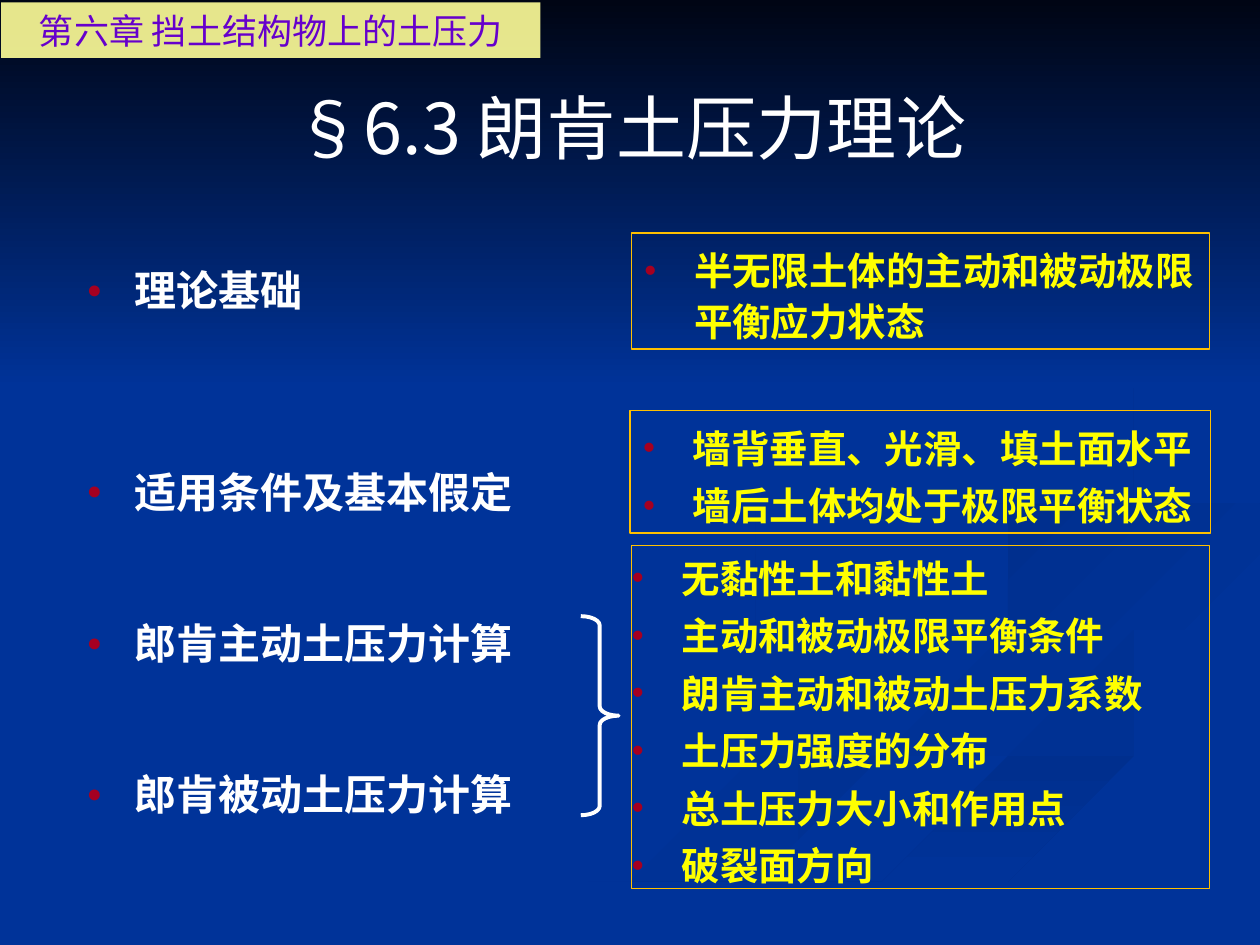
from pptx import Presentation
from pptx.dml.color import RGBColor
from pptx.enum.shapes import MSO_SHAPE
from pptx.enum.text import MSO_ANCHOR, MSO_AUTO_SIZE, PP_ALIGN
from pptx.oxml.ns import qn
from pptx.util import Inches, Pt
from lxml import etree

RECT, BRACE = MSO_SHAPE.RECTANGLE, MSO_SHAPE.RIGHT_BRACE
TOP, MID = MSO_ANCHOR.TOP, MSO_ANCHOR.MIDDLE
LEFT, CENTER = PP_ALIGN.LEFT, PP_ALIGN.CENTER
FIXED = MSO_AUTO_SIZE.NONE

THEME = {
    "back": "003399", "night": "000514", "shade": "002F8E", "haze": "003193",
    "white": "FFFFFF", "yellow": "FFFF00", "gold": "FFC000",
    "red": "A50021", "cream": "FFFF99", "violet": "6600CC",
    "serif": "Times New Roman", "sans": "Noto Sans CJK SC", "label": "Noto Sans CJK JP",
    "title": 40, "topic": 24, "detail": 22, "chapter": 20, "line": 28.8,
}

CHAPTER = "第六章 挡土结构物上的土压力"
TITLE = ("§6.3 ", "朗肯土压力理论")
TOPICS = [
    ("理论基础", 0),
    ("适用条件及基本假定", 3),
    ("郎肯主动土压力计算", 2),
    ("郎肯被动土压力计算", 2),
]
PANELS = [
    ((5.01, 1.85, 4.59, 0.92), (0.1, 0.08), "serif",
     ["半无限土体的主动和被动极限平衡应力状态"]),
    ((5.01, 4.33, 4.59, 2.72), (0, 0.04), "sans",
     ["无黏性土和黏性土", "主动和被动极限平衡条件", "朗肯主动和被动土压力系数",
      "土压力强度的分布", "总土压力大小和作用点", "破裂面方向"]),
    ((5, 3.26, 4.61, 0.97), (0.1, 0.08), "serif",
     ["墙背垂直、光滑、填土面水平", "墙后土体均处于极限平衡状态"]),
]
SWIRLS = [
    ("back", "haze", 0, [
        (7.81, 5.53), (7.45, 5.38), (6.82, 5.19), (6.26, 5.02), (5.94, 4.85),
        (5.76, 4.69), (5.75, 4.59), (5.7, 4.7), (5.81, 4.84), (6.11, 4.99),
        (6.79, 5.19), (7.41, 5.39), (7.76, 5.53), (7.86, 5.66), (7.74, 5.83),
        (7.39, 5.98), (6.84, 6.13), (5.79, 6.39), (4.99, 6.61), (4.17, 6.9),
        (3.38, 7.27), (3, 7.49), (3.61, 7.49), (4.31, 7.14), (4.99, 6.87),
        (5.94, 6.56), (6.76, 6.34), (7.4, 6.18), (7.8, 6.05), (7.97, 5.88),
        (8, 5.81), (7.95, 5.67)]),
    ("back", "haze", 45, [
        (9.43, 5.7), (9.3, 5.53), (9.05, 5.4), (8.5, 5.24), (7.92, 5.09),
        (7.58, 4.98), (7.33, 4.83), (7.24, 4.64), (7.27, 4.79), (7.46, 5),
        (7.81, 5.18), (8.38, 5.36), (8.8, 5.49), (9.07, 5.62), (9.18, 5.81),
        (9.11, 5.93), (8.94, 6.05), (9.25, 5.93), (9.41, 5.81)]),
    ("shade", "back", 90, [
        (5.19, 7.47), (5.03, 7.49), (5.71, 7.49), (6, 7.33), (6.49, 7.1),
        (7.22, 6.82), (8.21, 6.51), (9.03, 6.3), (9.98, 6.09), (9.98, 5.81),
        (9.63, 5.94), (9.03, 6.1), (7.97, 6.38), (6.96, 6.69), (6.3, 6.93),
        (5.69, 7.19)]),
    ("shade", "back", 45, [
        (7.81, 4.6), (7.86, 4.74), (8.06, 4.87), (8.26, 4.96), (8.09, 4.84),
        (8.05, 4.72), (8.16, 4.59), (8.43, 4.48), (8.96, 4.35), (9.54, 4.26),
        (9.98, 4.2), (9.98, 4.02), (9.67, 4.09), (8.98, 4.18), (8.35, 4.3),
        (7.99, 4.42)]),
    ("shade", "back", 45, [
        (6.83, 4.3), (7.64, 4.17), (8.25, 4.02), (8.67, 3.84), (8.89, 3.62),
        (8.93, 3.35), (8.8, 3.07), (8.54, 2.83), (8.1, 2.56), (7.62, 2.33),
        (8.05, 2.54), (8.46, 2.79), (8.76, 3.06), (8.89, 3.35), (8.76, 3.6),
        (8.42, 3.78), (7.91, 3.92), (7.04, 4.09), (6.25, 4.26), (5.89, 4.41),
        (5.77, 4.62), (5.9, 4.84), (6.22, 5), (6.01, 4.85), (5.93, 4.7),
        (6.01, 4.56), (6.24, 4.44)]),
]


def tint(name):
    return RGBColor.from_string(THEME[name])


def place(shape, box):
    shape.left, shape.top, shape.width, shape.height = map(Inches, box)


def setup(frame, anchor, side=0.1, top=0.05):
    frame.word_wrap = True
    frame.auto_size = FIXED
    frame.vertical_anchor = anchor
    frame.margin_left = frame.margin_right = Inches(side)
    frame.margin_top = frame.margin_bottom = Inches(top)


def style(run, size, color, latin, east, bold=False):
    font = run.font
    font.size, font.bold, font.name = Pt(THEME[size]), bold, THEME[latin]
    font.color.rgb = tint(color)
    etree.SubElement(run._r.get_or_add_rPr(), qn("a:ea"), typeface=THEME[east])


def bullet(para, char, scale, indent):
    props = para._p.get_or_add_pPr()
    props.set("marL", str(Inches(indent)))
    props.set("indent", str(-Inches(indent)))
    color = etree.SubElement(props, qn("a:buClr"))
    etree.SubElement(color, qn("a:srgbClr"), val=THEME["red"])
    etree.SubElement(props, qn("a:buSzPct"), val=str(scale * 1000))
    etree.SubElement(props, qn("a:buFont"), typeface=THEME["serif"])
    etree.SubElement(props, qn("a:buChar"), char=char)


def fill_list(frame, rows, mark, look):
    frame.text = "\n".join(text for text, before, after in rows)
    for para, (text, before, after) in zip(frame.paragraphs, rows):
        bullet(para, *mark)
        para.alignment = LEFT
        para.line_spacing = Pt(THEME["line"])
        para.space_before, para.space_after = Pt(before), Pt(after)
        style(para.runs[0], *look, bold=True)


def plain(shapes, kind, box):
    shape = shapes.add_shape(kind, *map(Inches, box))
    shape.shadow.inherit = False
    shape.fill.background()
    shape.line.fill.background()
    return shape


def shade(shape, start, end, angle):
    shape.shadow.inherit = False
    shape.line.fill.background()
    shape.fill.gradient()
    shape.fill.gradient_angle = (360 - angle) % 360
    for stop, name in zip(shape.fill.gradient_stops, (start, end)):
        stop.color.rgb = tint(name)


def backdrop(slide):
    slide.background.fill.solid()
    slide.background.fill.fore_color.rgb = tint("back")
    shapes = slide.shapes
    parts = []
    for start, end, angle, points in SWIRLS:
        path = shapes.build_freeform(*points[0], scale=Inches(1))
        path.add_line_segments(points[1:], close=True)
        parts.append(path.convert_to_shape())
        shade(parts[-1], start, end, angle)
    parts.append(plain(shapes, RECT, (0, 0, 10, 3.08)))
    shade(parts[-1], "night", "back", 90)
    for spot, part in enumerate(parts, 2):
        shapes._spTree.insert(spot, part._element)


def main():
    deck = Presentation()
    deck.slide_width, deck.slide_height = Inches(10), Inches(7.5)
    slide = deck.slides.add_slide(deck.slide_layouts[1])
    shapes = slide.shapes
    backdrop(slide)

    title = shapes.title
    place(title, (1.73, 0.62, 6.54, 0.77))
    setup(title.text_frame, MID)
    para = title.text_frame.paragraphs[0]
    para.alignment = CENTER
    for text in TITLE:
        run = para.add_run()
        run.text = text
        style(run, "title", "white", "sans", "sans")

    tag = plain(shapes, RECT, (0.01, 0.02, 4.28, 0.44))
    tag.fill.solid()
    tag.fill.fore_color.rgb = tint("cream")
    color = tag.fill._xPr.find(qn("a:solidFill"))[0]
    etree.SubElement(color, qn("a:alpha"), val="90000")
    setup(tag.text_frame, MID)
    tag.text_frame.text = CHAPTER
    para = tag.text_frame.paragraphs[0]
    para.alignment = CENTER
    style(para.runs[0], "chapter", "violet", "label", "label")

    body = slide.placeholders[1]
    place(body, (0.59, 2.02, 3.96, 4.54))
    setup(body.text_frame, TOP, top=0.08)
    rows = [(text, gap * THEME["line"], 0) for text, gap in TOPICS]
    fill_list(body.text_frame, rows, ("●", 60, 0.38), ("topic", "white", "serif", "sans"))

    for box, inset, face, items in PANELS:
        panel = plain(shapes, RECT, box)
        panel.line.color.rgb = tint("gold")
        panel.line.width = Pt(0.75)
        setup(panel.text_frame, TOP, *inset)
        rows = [(text, 2 if i else 0, 2) for i, text in enumerate(items)]
        fill_list(panel.text_frame, rows, ("•", 100, 0.4), ("detail", "yellow", face, "sans"))

    brace = plain(shapes, BRACE, (4.61, 4.89, 0.3, 1.58))
    brace.adjustments[0] = 0.245
    brace.line.color.rgb = tint("white")
    brace.line.width = Pt(2.25)
    deck.save("out.pptx")


if __name__ == "__main__":
    main()
